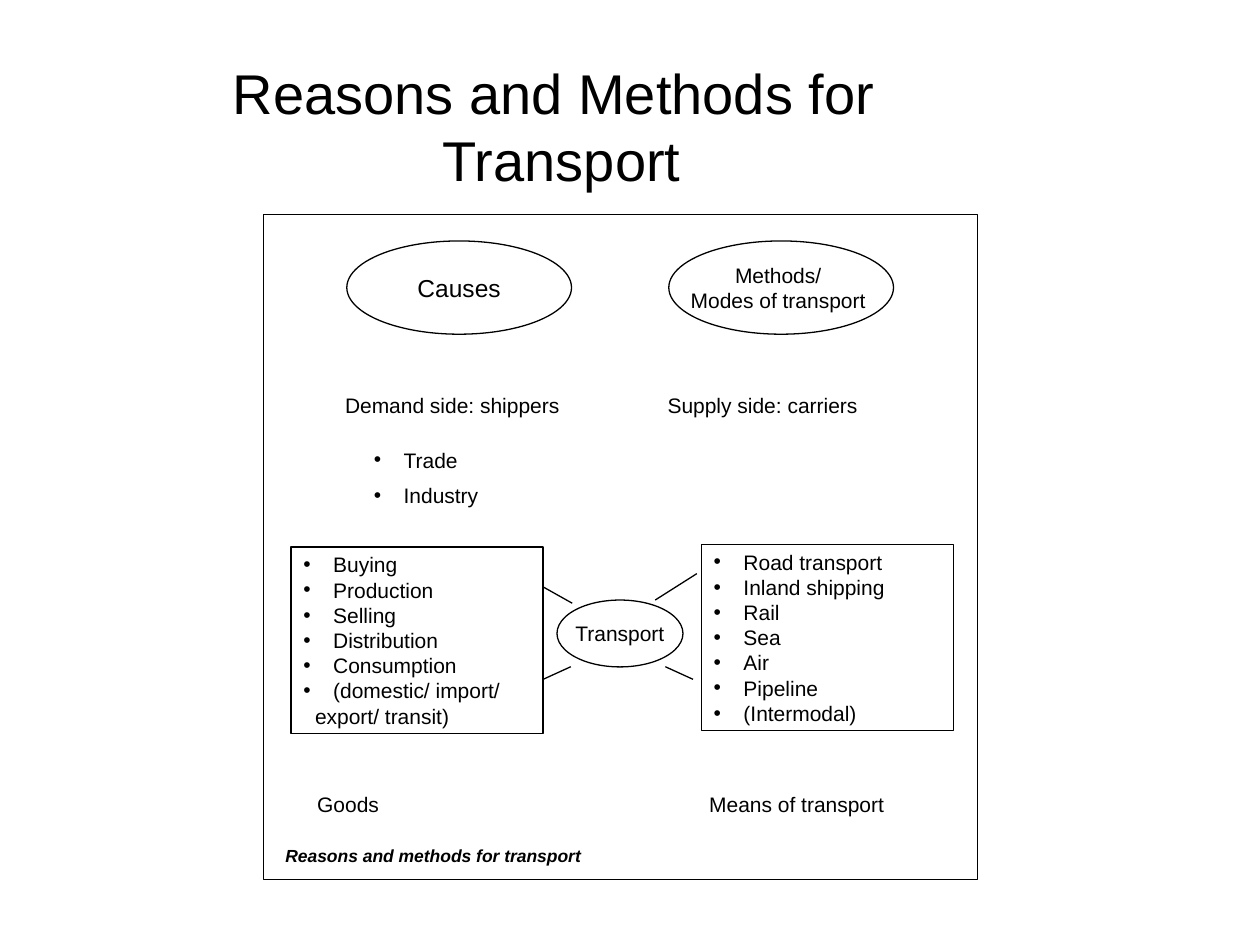
from pptx import Presentation
from pptx import util as u
from pptx.dml.color import RGBColor
from pptx.enum import shapes, text
from pptx.oxml import parse_xml
from pptx.oxml.ns import nsdecls, qn

THEME = {
    "font": "Arial", "ink": RGBColor(0, 0, 0), "line": 0.75,
    "title": 32, "heading": 14, "body": 12, "caption": 10,
}
BULLET_INDENT = 17
RUN_ON_INDENT = 6.67
LABEL_GAP = 6

# Content: boxes are (left, top, width, height) in points
TITLE = ("Reasons and Methods for \vTransport", (-3, 26.6, 648, 90))
CAPTION = ("Reasons and methods for transport", (156, 479.5, 396, 23))
FRAME = (150.4, 122.4, 408.4, 380.2)

OVALS = [
    (["Methods/ ", "Modes of transport "], "body", (382.2, 137.7, 128.4, 53.3)),
    (["Causes"], "heading", (198.2, 137.7, 128.4, 53.3)),
    (["Transport"], "body", (318.3, 342.9, 72, 38.2)),
]
LABELS = [
    ("Demand side: shippers", 190.1, 221),
    ("Supply side: carriers", 374.4, 221),
    ("Goods", 174.2, 449),
    ("Means of transport", 398.2, 449),
]
LABEL_SIZE = (152, 22)
CAUSES = (["Trade", "Industry"], (206.6, 252, 152, 43.2))
GOODS = (["Buying", "Production", "Selling", "Distribution", "Consumption",
          "(domestic/ import/"], "export/ transit)", (166.3, 312.6))
MEANS = (["Road transport", "Inland shipping", "Rail", "Sea", "Air",
          "Pipeline", "(Intermodal)"], None, (400.8, 311))
LIST_SIZE = (144, 106.4)
LINKS = [
    ((327, 344.7), (310.4, 335.4)),
    ((374.4, 342.9), (398.2, 327.8)),
    ((380.2, 381), (396, 388.2)),
    ((326.2, 381), (310.4, 388.2)),
]

presentation = Presentation()
presentation.slide_width, presentation.slide_height = u.Pt(720), u.Pt(540)
slide = presentation.slides.add_slide(presentation.slide_layouts[6])


def points(values):
    return [u.Pt(value) for value in values]


def style_line(line):
    line.color.rgb = THEME["ink"]
    line.width = u.Pt(THEME["line"])


def add_outline(kind, box):
    shape = slide.shapes.add_shape(kind, *points(box))
    shape.shadow.inherit = False
    shape.fill.background()
    style_line(shape.line)
    return shape


def write(shape, lines, size="body", centred=False, middle=False, wrap=True,
          gap=0, bold=False, italic=False):
    frame = shape.text_frame
    frame.word_wrap = wrap
    frame.vertical_anchor = text.MSO_ANCHOR.MIDDLE if middle else text.MSO_ANCHOR.TOP
    for index, line in enumerate(lines):
        paragraph = frame.add_paragraph() if index else frame.paragraphs[0]
        paragraph.alignment = text.PP_ALIGN.CENTER if centred else text.PP_ALIGN.LEFT
        paragraph.space_before = u.Pt(gap)
        for part_index, part in enumerate(line.split("\v")):
            if part_index:
                paragraph.add_line_break()
            run = paragraph.add_run()
            run.text = part
            font = run.font
            font.name, font.size = THEME["font"], u.Pt(THEME[size])
            font.color.rgb = THEME["ink"]
            font.bold, font.italic = bold, italic
    return frame.paragraphs


def indent(paragraph, left, bulleted=True):
    properties = paragraph._p.get_or_add_pPr()
    properties.set("marL", str(u.Pt(left)))
    properties.set("indent", str(-u.Pt(left) if bulleted else 0))
    if bulleted:
        properties.append(parse_xml(f'<a:buFont {nsdecls("a")} typeface="Arial"/>'))
        properties.append(parse_xml(f'<a:buChar {nsdecls("a")} char="•"/>'))


def add_text(lines, box, **style):
    return write(slide.shapes.add_textbox(*points(box)), lines, **style)


# Title, caption and outer frame
add_text([TITLE[0]], TITLE[1], size="title", centred=True, middle=True)
add_text([CAPTION[0]], CAPTION[1], size="caption", bold=True, italic=True)
add_outline(shapes.MSO_SHAPE.RECTANGLE, FRAME)

# Ovals
for lines, size, box in OVALS:
    write(add_outline(shapes.MSO_SHAPE.OVAL, box), lines, size=size,
          centred=True, middle=True, wrap=False)

# Labels and the causes beneath the demand side
for label, left, top in LABELS:
    add_text([label], (left, top, *LABEL_SIZE), gap=LABEL_GAP)
for paragraph in add_text(*CAUSES, gap=LABEL_GAP):
    indent(paragraph, BULLET_INDENT)

# Framed lists
for items, run_on, corner in (GOODS, MEANS):
    box = add_outline(shapes.MSO_SHAPE.RECTANGLE, (*corner, *LIST_SIZE))
    lines = items + ([run_on] if run_on else [])
    for index, paragraph in enumerate(write(box, lines, middle=True)):
        bulleted = index < len(items)
        indent(paragraph, BULLET_INDENT if bulleted else RUN_ON_INDENT, bulleted)

# Lines between the transport oval and the lists
for start, end in LINKS:
    link = slide.shapes.add_connector(shapes.MSO_CONNECTOR.STRAIGHT,
                                      *points(start + end))
    style_line(link.line)
    link._element.spPr.append(link._element.makeelement(qn("a:effectLst"), {}))

presentation.save("out.pptx")
